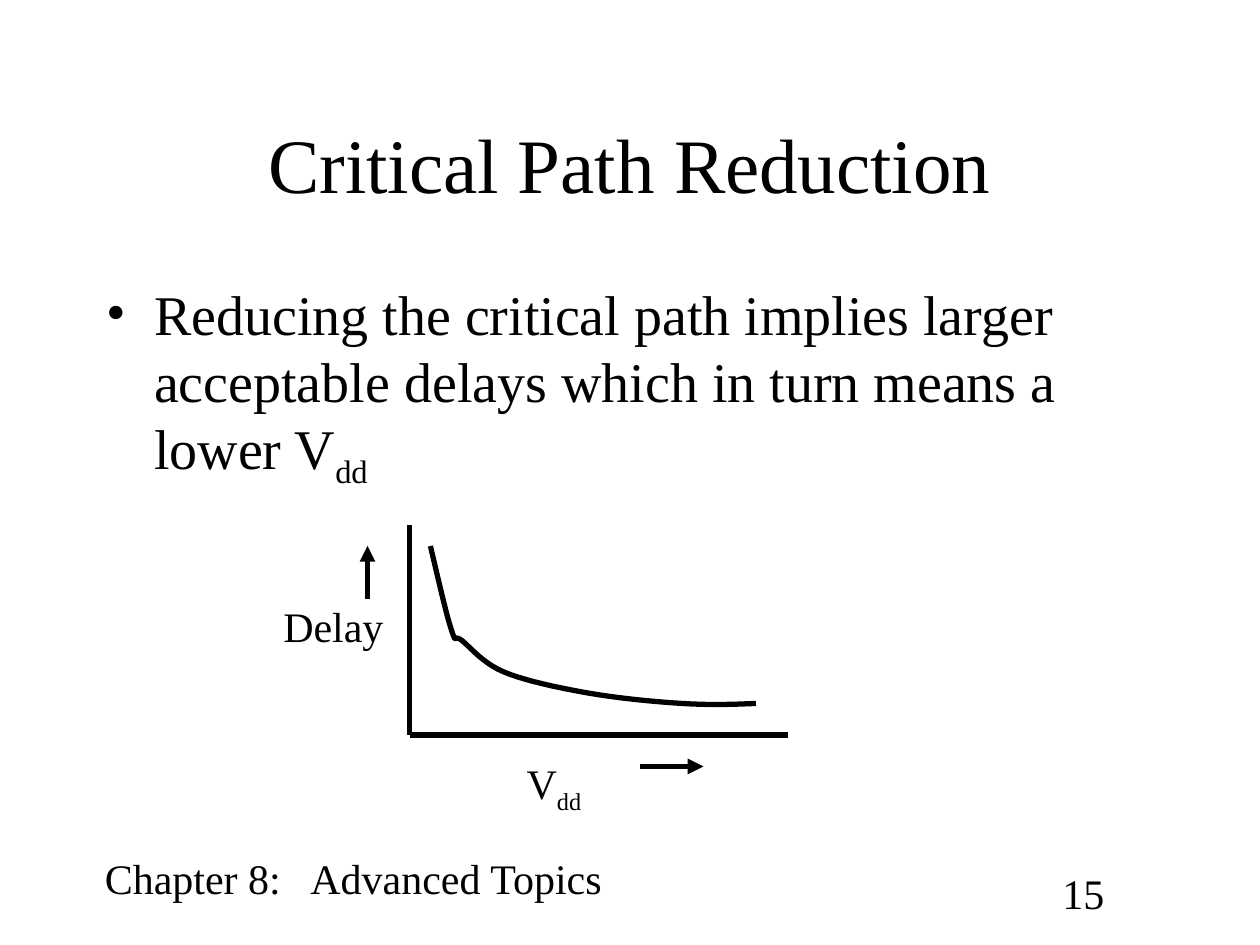
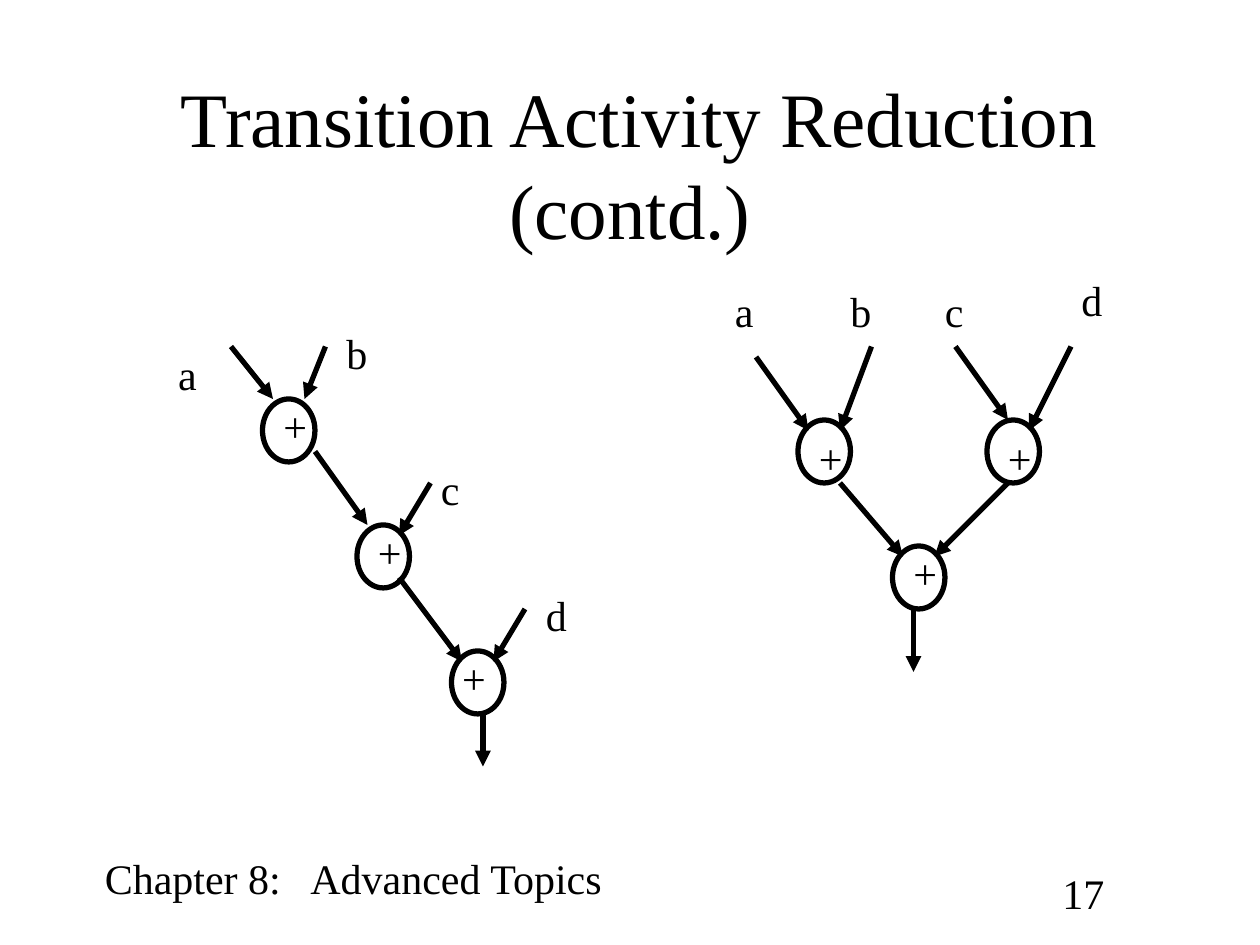
from typing import NamedTuple

import pptx
import pptx.dml.color
import pptx.enum.shapes
import pptx.enum.text
import pptx.oxml
import pptx.oxml.ns
import pptx.util
from pptx.util import Pt

# Shared style
BLACK = pptx.dml.color.RGBColor(0x00, 0x00, 0x00)
WHITE = pptx.dml.color.RGBColor(0xFF, 0xFF, 0xFF)
FONT = "Times New Roman"
TITLE_SIZE, BODY_SIZE, LABEL_SIZE = 44, 32, 24
LINE_WIDTH = Pt(3)
NODE_W, NODE_H = 30, 36
LABEL_H = 36
CURVE_STEPS = 10
ALIGN = pptx.enum.text.PP_ALIGN

Point = tuple[float, float]


class Label(NamedTuple):
    text: str
    x: float
    y: float
    w: float
    subscript: str = ""


class Arrow(NamedTuple):
    start: Point
    end: Point
    head: bool = True


class Adder(NamedTuple):
    x: float
    y: float
    plus_dx: float = 4.8
    plus_dy: float = -2.6


def add_xml(parent, tag: str, **attributes: str):
    """Append a DrawingML element to parent."""
    element = pptx.oxml.parse_xml(f"<{tag} {pptx.oxml.ns.nsdecls('a')}/>")
    for name, value in attributes.items():
        element.set(name, value)
    parent.append(element)
    return element


def add_text(s, text: str, x: float, y: float, w: float, h: float,
             size: float = LABEL_SIZE, subscript: str = "", wrap: bool = True):
    """Add a text box and return its only paragraph."""
    tf = s.shapes.add_textbox(Pt(x), Pt(y), Pt(w), Pt(h)).text_frame
    tf.text = text
    tf.word_wrap = wrap
    if not wrap:
        tf.auto_size = pptx.enum.text.MSO_AUTO_SIZE.SHAPE_TO_FIT_TEXT
    p = tf.paragraphs[0]
    if subscript:
        r = p.add_run()
        r.text = subscript
        r.font._element.set("baseline", "-25000")
    for r in p.runs:
        r.font.name = FONT
        r.font.size = Pt(size)
        r.font.color.rgb = BLACK
    return p


def add_label(s, label: Label) -> None:
    add_text(s, label.text, label.x, label.y, label.w, LABEL_H,
             subscript=label.subscript, wrap=False)


def set_line(sp) -> None:
    sp.line.color.rgb = BLACK
    sp.line.width = LINE_WIDTH


def add_arrow(s, arrow: Arrow) -> None:
    sp = s.shapes.add_connector(
        pptx.enum.shapes.MSO_CONNECTOR.STRAIGHT,
        *(Pt(v) for v in arrow.start + arrow.end))
    set_line(sp)
    if arrow.head:
        add_xml(sp.line._get_or_add_ln(), "a:tailEnd", type="triangle")
    add_xml(sp._element.spPr, "a:effectLst")


def add_adder(s, adder: Adder) -> None:
    sp = s.shapes.add_shape(pptx.enum.shapes.MSO_SHAPE.OVAL,
                            Pt(adder.x), Pt(adder.y), Pt(NODE_W), Pt(NODE_H))
    sp.shadow.inherit = False
    sp.fill.background()
    set_line(sp)
    add_label(s, Label("+", adder.x + adder.plus_dx,
                       adder.y + adder.plus_dy, 28))


def bezier(p0: Point, p1: Point, p2: Point, p3: Point) -> list[Point]:
    """Sample a cubic curve, leaving out its start."""
    points = []
    for i in range(1, CURVE_STEPS + 1):
        t = i / CURVE_STEPS
        weights = ((1 - t) ** 3, 3 * t * (1 - t) ** 2,
                   3 * t ** 2 * (1 - t), t ** 3)
        x, y = (sum(k * v for k, v in zip(weights, axis))
                for axis in zip(p0, p1, p2, p3))
        points.append((x, y))
    return points


def add_curve(s, start: Point, segments) -> None:
    points, last = [], start
    for c1, c2, end in segments:
        points += bezier(last, c1, c2, end)
        last = end
    builder = s.shapes.build_freeform(Pt(start[0]), Pt(start[1]), 1.0)
    builder.add_line_segments([(Pt(x), Pt(y)) for x, y in points], close=False)
    sp = builder.convert_to_shape()
    sp.shadow.inherit = False
    sp.fill.background()
    set_line(sp)


def add_slide(prs, title: str, number: int, first_indent: float = 0):
    """Add a slide with background, footer, page number and title."""
    s = prs.slides.add_slide(prs.slide_layouts[6])
    s.background.fill.solid()
    s.background.fill.fore_color.rgb = WHITE

    p = add_text(s, "Chapter 8:\tAdvanced Topics", 52.8, 483.4, 302, LABEL_H)
    tabs = add_xml(p._p.get_or_add_pPr(), "a:tabLst")
    add_xml(tabs, "a:tab", pos=str(Pt(117.5)), algn="l")
    add_text(s, str(number), 600, 492, 66, LABEL_H)

    p = add_text(s, title, 54, 48, 612, 90, TITLE_SIZE)
    p.alignment = ALIGN.CENTER
    if first_indent:
        p._p.get_or_add_pPr().set("indent", str(Pt(first_indent)))
    sp = s.shapes[-1]
    sp.text_frame.vertical_anchor = pptx.enum.text.MSO_ANCHOR.MIDDLE
    return s


# Delay against supply voltage
AXES = [Arrow((234, 300), (234, 420), False),
        Arrow((234, 420), (450, 420), False)]
AXIS_ARROWS = [Arrow((366, 438), (402, 438)), Arrow((210, 342), (210, 312))]
AXIS_LABELS = [Label("V", 293.8, 429.4, 46, "dd"),
               Label("Delay", 154.8, 339.4, 72)]
DELAY_START = (246, 312)
DELAY_CURVE = [
    ((250.5, 331), (255, 351), (258, 360)),
    ((261, 369), (259, 362), (264, 366)),
    ((269, 370), (276, 379), (288, 384)),
    ((300, 389), (319, 393), (336, 396)),
    ((353, 399), (374, 401), (390, 402)),
    ((406, 403), (419, 402.5), (432, 402)),
]

# Chain of adders
CHAIN_ADDERS = [Adder(150, 228), Adder(204, 300), Adder(258, 372, -1)]
CHAIN_ARROWS = [
    Arrow((132, 198), (156, 228)), Arrow((186, 198), (174, 228)),
    Arrow((180, 258), (210, 300)), Arrow((246, 276), (228, 306)),
    Arrow((228, 330), (264, 378)), Arrow((300, 348), (282, 378)),
    Arrow((276, 408), (276, 438)),
]
CHAIN_LABELS = [Label("a", 94.8, 195.4, 25), Label("b", 190.8, 183.4, 26),
                Label("c", 244.8, 261.4, 25), Label("d", 304.8, 333.4, 26)]

# Balanced tree of adders
TREE_ADDERS = [Adder(456, 240, plus_dy=3.4), Adder(564, 240, plus_dy=3.4),
               Adder(510, 312)]
TREE_ARROWS = [
    Arrow((432, 204), (462, 246)), Arrow((498, 198), (480, 246)),
    Arrow((546, 198), (576, 240)), Arrow((612, 198), (588, 246)),
    Arrow((480, 276), (516, 318)), Arrow((576, 276), (534, 318)),
    Arrow((522, 348), (522, 384)),
]
TREE_LABELS = [Label("a", 412.8, 159.4, 25), Label("b", 478.8, 159.4, 26),
               Label("c", 532.8, 159.4, 25), Label("d", 610.8, 153.4, 26)]


def build_critical_path(prs) -> None:
    s = add_slide(prs, "Critical Path Reduction", 15)
    p = add_text(s, "Reducing the critical path implies larger acceptable "
                 "delays which in turn means a lower V",
                 54, 156, 612, 324, BODY_SIZE, "dd")
    pPr = p._p.get_or_add_pPr()
    pPr.set("marL", str(Pt(27)))
    pPr.set("indent", str(Pt(-27)))
    add_xml(pPr, "a:buFont", typeface=FONT)
    add_xml(pPr, "a:buChar", char="•")

    for arrow in AXES + AXIS_ARROWS:
        add_arrow(s, arrow)
    add_curve(s, DELAY_START, DELAY_CURVE)
    for label in AXIS_LABELS:
        add_label(s, label)


def build_transition_activity(prs) -> None:
    s = add_slide(prs, "Transition Activity Reduction (contd.)", 17, 11)
    for adder in CHAIN_ADDERS + TREE_ADDERS:
        add_adder(s, adder)
    for arrow in CHAIN_ARROWS + TREE_ARROWS:
        add_arrow(s, arrow)
    for label in CHAIN_LABELS + TREE_LABELS:
        add_label(s, label)


def main() -> None:
    prs = pptx.Presentation()
    prs.slide_width, prs.slide_height = Pt(720), Pt(540)
    build_critical_path(prs)
    build_transition_activity(prs)
    prs.save("out.pptx")


if __name__ == "__main__":
    main()
